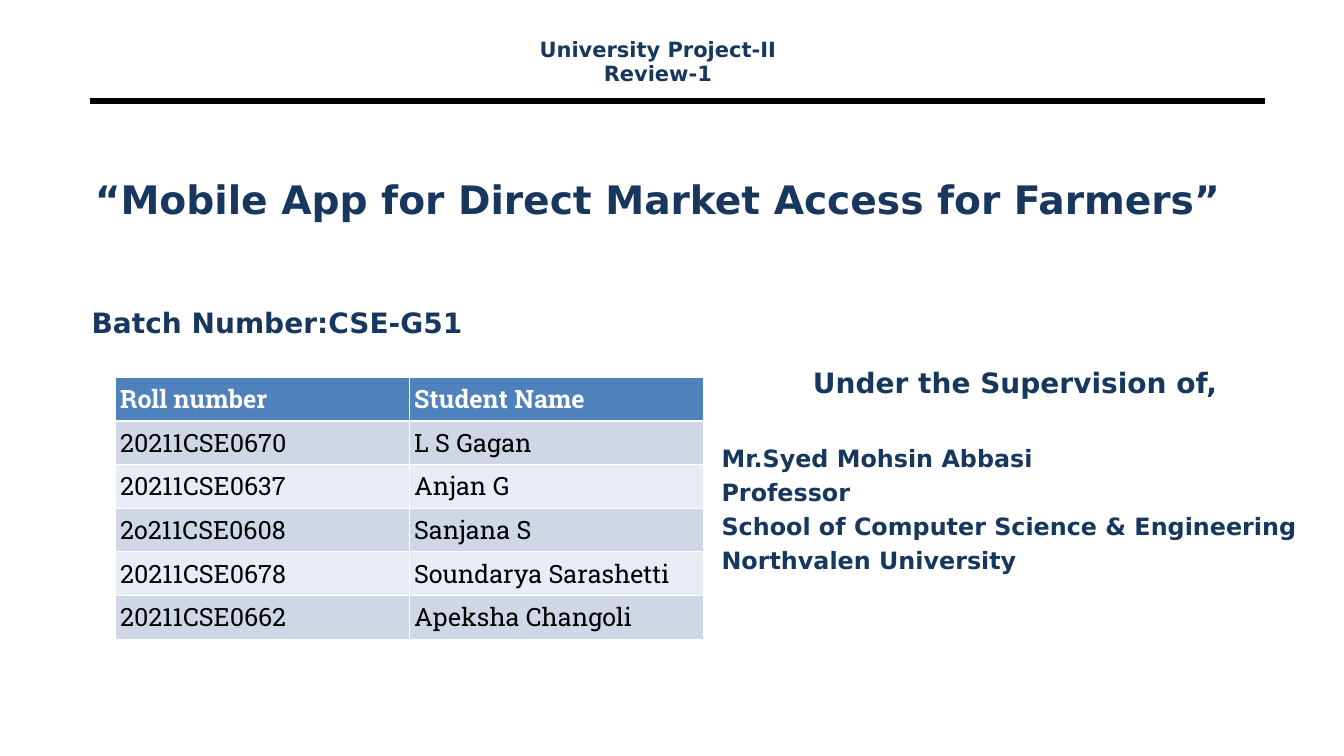
import dataclasses

import lxml.etree
import pptx
import pptx.dml.color
import pptx.enum.shapes
import pptx.enum.text
import pptx.oxml
import pptx.oxml.ns
import pptx.slide
import pptx.table
import pptx.text.text
import pptx.util

Cm = pptx.util.Cm
Pt = pptx.util.Pt
ALIGN = pptx.enum.text.PP_ALIGN
ANCHOR = pptx.enum.text.MSO_ANCHOR

COLORS = {
    "navy": "17375E",
    "rule": "000000",
    "header": "4F81BD",
    "odd": "CFD7E7",
    "even": "E8ECF4",
    "white": "FFFFFF",
    "cell_text": "000000",
}
HEADING_FONT = "DejaVu Sans"
TABLE_FONT = "Roboto Slab"
INSET = Cm(0.13)
MARGINS = {f"margin_{side}": INSET for side in ("left", "top", "right", "bottom")}
THIN, THICK = 0.45, 1.47

STUDENTS = [
    ("Roll number", "Student Name"),
    ("20211CSE0670", "L S Gagan"),
    ("20211CSE0637", "Anjan G"),
    ("2o211CSE0608", "Sanjana S"),
    ("20211CSE0678", "Soundarya Sarashetti"),
    ("20211CSE0662", "Apeksha Changoli"),
]


@dataclasses.dataclass(frozen=True)
class Line:
    text: str
    size: float
    align: ALIGN = ALIGN.LEFT
    before: float = 4
    spacing: float = 1.0


@dataclasses.dataclass(frozen=True)
class Block:
    left: float
    top: float
    width: float
    height: float
    lines: tuple[Line, ...]
    anchor: ANCHOR = ANCHOR.TOP


TITLE = Block(
    2.18, 2.97, 28.78, 4.09,
    (Line("“Mobile App for Direct Market Access for Farmers”", 28, ALIGN.CENTER, 0),),
    ANCHOR.MIDDLE,
)
BATCH = Block(2.18, 7.57, 11.02, 1.52, (Line("Batch Number:CSE-G51", 20),))
SUPERVISION = Block(
    18.06, 9.09, 15.06, 6.76,
    (
        Line("Under the Supervision of,", 20, ALIGN.CENTER),
        Line("Mr.Syed Mohsin Abbasi", 17, before=31.3),
        Line("Professor", 17),
        Line("School of Computer Science & Engineering", 17),
        Line("Northvalen University", 17),
    ),
)
REVIEW = Block(
    11.2, 0.91, 10.77, 1.52,
    tuple(
        Line(text, 15, ALIGN.CENTER, 3, 0.8)
        for text in ("University Project-II", "Review-1")
    ),
)


def rgb(name: str) -> pptx.dml.color.RGBColor:
    return pptx.dml.color.RGBColor.from_string(COLORS[name])


def set_all(target: object, values: dict) -> None:
    for name, value in values.items():
        setattr(target, name, value)


def add_span(para: pptx.text.text._Paragraph, text: str, color: str, font: dict) -> None:
    span = para.add_run()
    span.text = text
    set_all(span.font, font)
    span.font.color.rgb = rgb(color)


def fill_block(box, block: Block) -> None:
    """Place a text box or placeholder and write its lines."""
    place = ("left", "top", "width", "height")
    set_all(box, {name: Cm(getattr(block, name)) for name in place})
    frame = box.text_frame
    set_all(frame, MARGINS | {
        "word_wrap": True,
        "auto_size": pptx.enum.text.MSO_AUTO_SIZE.NONE,
        "vertical_anchor": block.anchor,
    })
    for index, line in enumerate(block.lines):
        para = frame.add_paragraph() if index else frame.paragraphs[0]
        set_all(para, {
            "alignment": line.align,
            "space_before": Pt(line.before),
            "line_spacing": line.spacing,
        })
        font = {"name": HEADING_FONT, "size": Pt(line.size), "bold": True}
        add_span(para, line.text, "navy", font)


def add_rule(page: pptx.slide.Slide) -> None:
    rule = page.shapes.add_connector(
        pptx.enum.shapes.MSO_CONNECTOR.STRAIGHT, Cm(2.26), Cm(2.54), Cm(31.9), Cm(2.54)
    )
    rule.line.color.rgb = rgb("rule")
    rule.line.width = Pt(4.5)
    lxml.etree.SubElement(rule._element.spPr, pptx.oxml.ns.qn("a:effectLst"))


def set_borders(cell: pptx.table._Cell, row: int) -> None:
    """Give white borders, thicker between the header and the first row."""
    widths = {
        "L": THIN,
        "R": THIN,
        "T": THICK if row == 1 else THIN,
        "B": THICK if row == 0 else THIN,
    }
    properties = cell._tc.get_or_add_tcPr()
    for side, width in widths.items():
        properties.append(pptx.oxml.parse_xml(
            f'<a:ln{side} {pptx.oxml.ns.nsdecls("a")} w="{int(Pt(width))}">'
            f'<a:solidFill><a:srgbClr val="{COLORS["white"]}"/></a:solidFill></a:ln{side}>'
        ))


def add_students(page: pptx.slide.Slide) -> None:
    row_height, column_width = 1.09, 7.41
    rows, columns = len(STUDENTS), len(STUDENTS[0])
    table = page.shapes.add_table(
        rows, columns, Cm(2.9), Cm(9.5),
        Cm(columns * column_width), Cm(rows * row_height),
    ).table
    for row, values in enumerate(STUDENTS):
        header = row == 0
        fill = "header" if header else ("even", "odd")[row % 2]
        font = {"name": TABLE_FONT, "size": Pt(18), "bold": header}
        for column, text in enumerate(values):
            cell = table.cell(row, column)
            set_all(cell, MARGINS)
            set_borders(cell, row)
            cell.fill.solid()
            cell.fill.fore_color.rgb = rgb(fill)
            color = "white" if header else "cell_text"
            add_span(cell.text_frame.paragraphs[0], text, color, font)


def main() -> None:
    deck = pptx.Presentation()
    set_all(deck, {"slide_width": Cm(33.88), "slide_height": Cm(19.05)})
    page = deck.slides.add_slide(deck.slide_layouts[0])
    add_rule(page)
    fill_block(page.shapes.title, TITLE)
    fill_block(page.placeholders[1], BATCH)
    for block in (SUPERVISION, REVIEW):
        fill_block(page.shapes.add_textbox(0, 0, 0, 0), block)
    add_students(page)
    deck.save("out.pptx")


if __name__ == "__main__":
    main()
